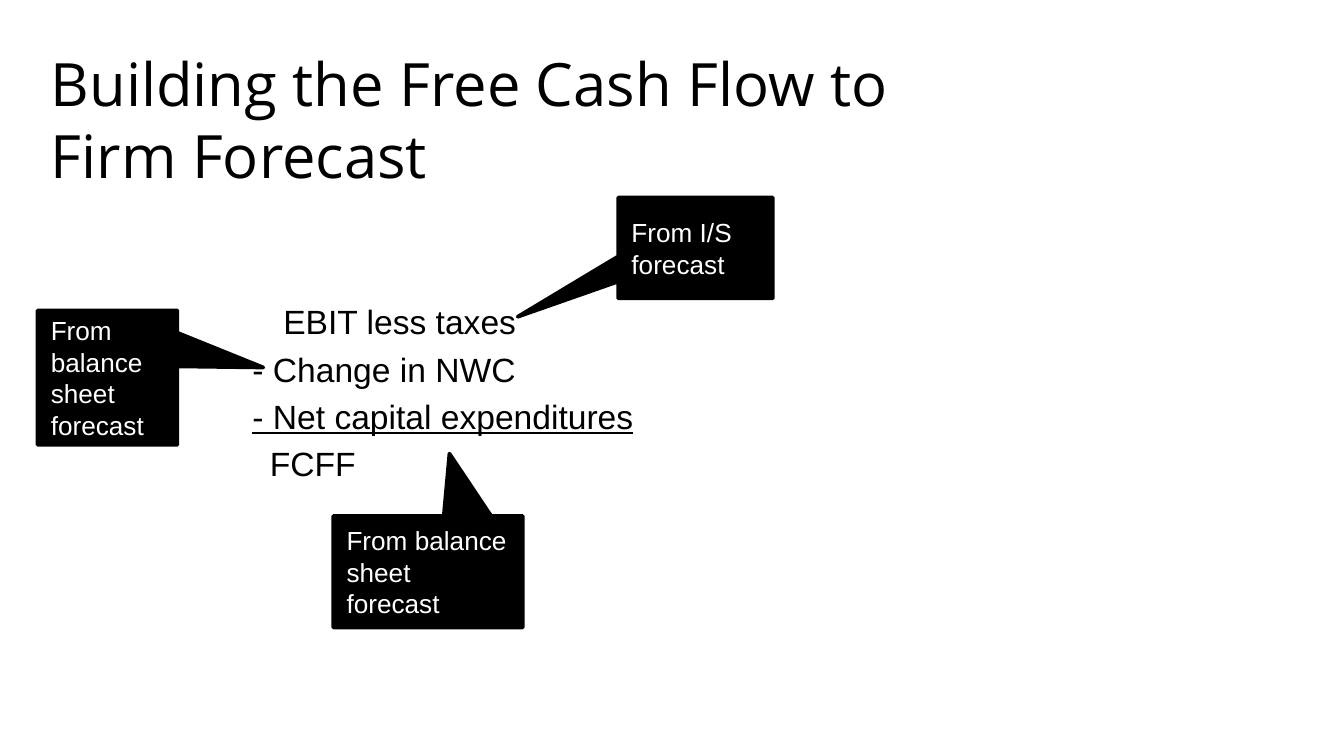
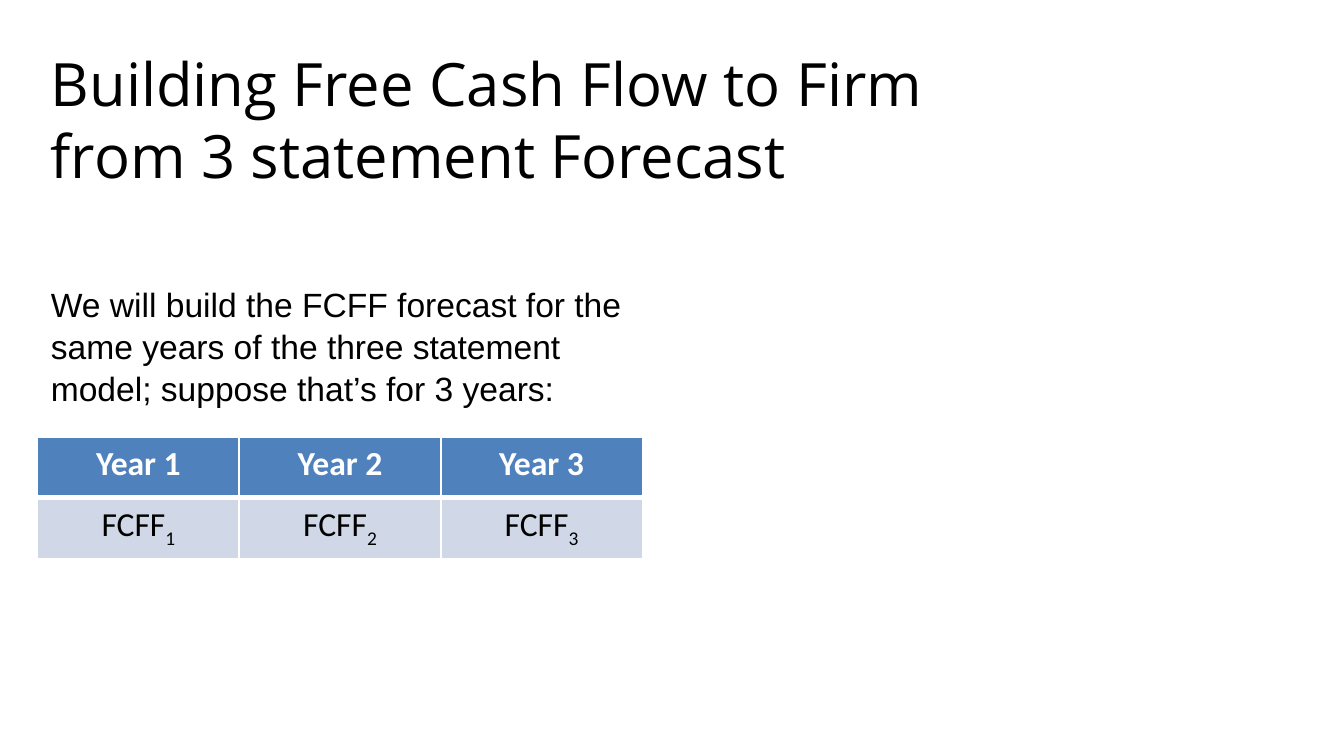
"""Build two slides on forecasting free cash flow to firm."""
from lxml.etree import SubElement
from pptx import Presentation
from pptx.dml.color import RGBColor
from pptx.enum.shapes import MSO_SHAPE as Preset
from pptx.enum.text import MSO_ANCHOR as Anchor, PP_ALIGN as Align
from pptx.oxml.ns import qn
from pptx.util import Inches, Pt

BLACK, WHITE, HEADER_BLUE, PALE_BLUE = "000000", "FFFFFF", "4F81BD", "D0D8E8"
TITLE = {"name": "Open Sans", "size": Pt(32), "color": BLACK}
BODY = {"name": "Arial", "size": Pt(18), "color": BLACK}
NOTE = {"name": "Arial", "size": Pt(14), "color": WHITE}
HEADING = {"name": "Calibri", "size": Pt(18), "color": WHITE, "bold": True}
ENTRY = {"name": "Calibri", "size": Pt(18), "color": BLACK, "bold": False}


def rgb(value):
    return RGBColor.from_string(value)


def write(paragraph, text, style):
    run = paragraph.add_run()
    run.text = text
    for key, value in style.items():
        if key == "color":
            run.font.color.rgb = rgb(value)
        else:
            setattr(run.font, key, value)
    return run


deck = Presentation()
deck.slide_width, deck.slide_height = Inches(10), Inches(10 * 9 / 16)

pages = [
    ("Building the Free Cash Flow to Firm Forecast", 1.09,
     (1.39, 5.15, 4.06), 0.8, 25.3,
     [("EBIT less taxes", 1.73, False),
      ("- Change in NWC", 1.5, False),
      ("- Net capital expenditures", 1.5, True),
      ("FCFF", 1.63, False)]),
    ("Building Free Cash Flow to Firm from 3 statement Forecast", 1.76,
     (2.06, 4.72, 3.2), 0.04, 22.5,
     [("We will build the FCFF forecast for the same years of the three "
       "statement model; suppose that’s for 3 years:", 0, False)]),
]
slides = []
for heading, heading_height, (top, width, height), inset, pitch, lines in pages:
    slide = deck.slides.add_slide(deck.slide_layouts[6])
    slides.append(slide)

    body = slide.shapes.add_textbox(
        Inches(0.28), Inches(top), Inches(width), Inches(height)).text_frame
    body.word_wrap = True
    body.margin_top = Inches(inset)
    for index, (text, indent, underline) in enumerate(lines):
        line = body.add_paragraph() if index else body.paragraphs[0]
        line.line_spacing = Pt(pitch)
        line._p.get_or_add_pPr().set("marL", str(Inches(indent)))
        write(line, text, {**BODY, "underline": underline})

    title = slide.shapes.add_textbox(
        Inches(0.28), Inches(0.3), Inches(6.76), Inches(heading_height)).text_frame
    title.word_wrap = True
    write(title.paragraphs[0], heading, TITLE)

build_up, yearly = slides

callouts = [
    ("From I/S forecast", (4.6, 1.47, 1.15, 0.75), (-1.151, 0.683)),
    ("From balance sheet forecast", (0.28, 2.31, 1.04, 1), (1.115, -0.075)),
    ("From balance sheet forecast", (2.48, 3.84, 1.41, 0.83), (0.113, -1.06)),
]
for text, place, tip in callouts:
    callout = build_up.shapes.add_shape(
        Preset.RECTANGULAR_CALLOUT, *[Inches(length) for length in place])
    callout.adjustments[0], callout.adjustments[1] = tip
    callout.shadow.inherit = False
    callout.fill.solid()
    callout.fill.fore_color.rgb = rgb(BLACK)
    callout.line.color.rgb = rgb(BLACK)
    callout.line.width = Pt(2)
    callout.text_frame.word_wrap = True
    callout.text_frame.vertical_anchor = Anchor.MIDDLE
    source = callout.text_frame.paragraphs[0]
    source.alignment = Align.LEFT
    source.line_spacing = Pt(16.8)
    write(source, text, NOTE)

forecast = yearly.shapes.add_table(
    2, 3, Inches(0.28), Inches(3.25), Inches(4.5), Inches(0.91)).table
for column in range(3):
    for row, fill in enumerate((HEADER_BLUE, PALE_BLUE)):
        cell = forecast.cell(row, column)
        entry = cell.text_frame.paragraphs[0]
        entry.alignment = Align.CENTER
        if row == 0:
            write(entry, f"Year {column + 1}", HEADING)
        else:
            write(entry, "FCFF", ENTRY)
            subscript = write(entry, str(column + 1), ENTRY)
            subscript.font._element.set("baseline", "-25000")
        properties = cell._tc.get_or_add_tcPr()
        for side in ("lnL", "lnR", "lnT", "lnB"):
            thick = (row, side) in ((0, "lnB"), (1, "lnT"))
            border = SubElement(properties, qn(f"a:{side}"), w=str(Pt(3 if thick else 1)))
            paint = SubElement(border, qn("a:solidFill"))
            SubElement(paint, qn("a:srgbClr"), val=WHITE)
        cell.fill.solid()
        cell.fill.fore_color.rgb = rgb(fill)

deck.save("out.pptx")
